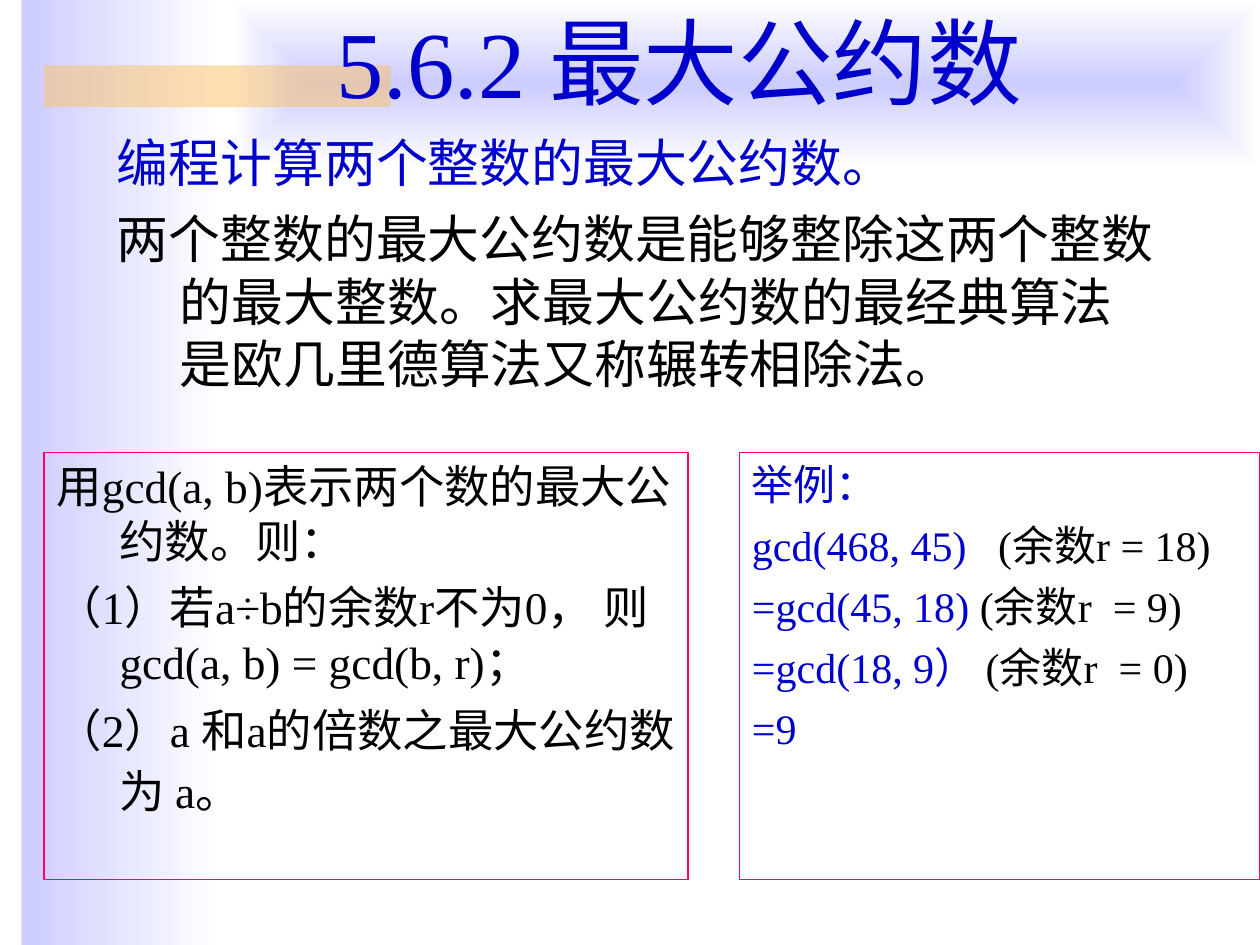
from dataclasses import dataclass
from typing import Optional

from lxml.etree import SubElement
from pptx import Presentation
from pptx.dml.color import RGBColor
from pptx.enum.shapes import MSO_SHAPE as Preset
from pptx.enum.text import MSO_ANCHOR as Anchor, MSO_AUTO_SIZE as AutoSize, PP_ALIGN as Align
from pptx.oxml.ns import qn
from pptx.util import Inches, Pt

FONT = "Times New Roman"
BLUE = "0000CC"
BLACK = "000000"
LAVENDER = "CCCCFF"
WHITE = "FFFFFF"
PINK = "FF0066"
ORANGE = "FAC164"
HANGING = 0.5


@dataclass
class Frame:
    left: float
    top: float
    width: float
    height: float

    def lengths(self) -> tuple:
        return tuple(Inches(v) for v in (self.left, self.top, self.width, self.height))


@dataclass
class Span:
    text: str
    color: Optional[str] = None
    size: Optional[float] = None


@dataclass
class Para:
    spans: list[Span]
    color: str
    size: float
    before: float


@dataclass
class Block:
    frame: Frame
    paras: list[Para]
    border: Optional[str] = None


def rgb(value: str) -> RGBColor:
    return RGBColor.from_string(value)


def add_rect(page, frame: Frame):
    shape = page.shapes.add_shape(Preset.RECTANGLE, *frame.lengths())
    shape.shadow.inherit = False
    shape.line.fill.background()
    return shape


def add_gradient(page, frame: Frame, centered: bool) -> None:
    shape = add_rect(page, frame)
    shape.fill.gradient()
    for stop, color, position in zip(shape.fill.gradient_stops, (LAVENDER, WHITE), (0, 1)):
        stop.color.rgb = rgb(color)
        stop.position = position
    shape.fill.gradient_angle = 0
    if centered:
        gradient = shape.element.spPr.find(qn("a:gradFill"))
        gradient.remove(gradient.find(qn("a:lin")))
        shade = SubElement(gradient, qn("a:path"), {"path": "rect"})
        SubElement(shade, qn("a:fillToRect"), dict.fromkeys("ltrb", "50000"))


def add_bar(page, frame: Frame, color: str, opacity: int) -> None:
    shape = add_rect(page, frame)
    shape.fill.solid()
    shape.fill.fore_color.rgb = rgb(color)
    fill = shape.element.spPr.find(qn("a:solidFill"))
    SubElement(fill[0], qn("a:alpha"), {"val": str(opacity * 1000)})


def style(font, color: str, size: float) -> None:
    font.name = FONT
    font.size = Pt(size)
    font.color.rgb = rgb(color)


def place_title(page, frame: Frame, text: str) -> None:
    title = page.shapes.title
    title.left, title.top, title.width, title.height = frame.lengths()
    page.shapes.element.append(title.element)
    box = title.text_frame
    box.text = text
    box.auto_size = AutoSize.NONE
    box.vertical_anchor = Anchor.MIDDLE
    para = box.paragraphs[0]
    para.alignment = Align.CENTER
    style(para.font, BLUE, 54)


def add_block(page, block: Block) -> None:
    if block.border:
        shape = add_rect(page, block.frame)
        shape.fill.background()
        shape.line.color.rgb = rgb(block.border)
        shape.line.width = Pt(0.75)
    else:
        shape = page.shapes.add_textbox(*block.frame.lengths())
    box = shape.text_frame
    box.word_wrap = True
    box.vertical_anchor = Anchor.TOP
    for index, item in enumerate(block.paras):
        para = box.add_paragraph() if index else box.paragraphs[0]
        para.alignment = Align.LEFT
        para.space_before = Pt(item.before if index else 0)
        properties = para._p.get_or_add_pPr()
        properties.set("marL", str(Inches(HANGING)))
        properties.set("indent", str(-Inches(HANGING)))
        style(para.font, item.color, item.size)
        for part in item.spans:
            span = para.add_run()
            span.text = part.text
            style(span.font, part.color or item.color, part.size or item.size)


def example(call: str, remainder: str = "") -> Para:
    spans = [Span(call)]
    if remainder:
        spans.append(Span(remainder, BLACK))
    return Para(spans, BLUE, 24, 6)


INTRO = Block(Frame(0.83, 0.99, 8.5, 2.44), [
    Para([Span("编程计算两个整数的最大公约数。")], BLUE, 29.6, 8),
    Para([Span("两个整数的最大公约数是能够整除这两个整数的最大整数。"
               "求最大公约数的最经典算法是欧几里德算法又称辗转相除法。")], BLACK, 29.6, 8),
])
RULES = Block(Frame(0.35, 3.59, 5.11, 3.39), [
    Para([Span("用gcd(a, b)表示两个数的最大公约数。则：")], BLACK, 25.9, 7),
    Para([Span("（1）若a÷b的余数r不为0， 则gcd(a, b) = gcd(b, r)；")], BLACK, 25.9, 7),
    Para([Span("（2）a 和a的倍数之最大公约数为 a。"), Span(" ", size=29.6)], BLACK, 25.9, 8),
], PINK)
EXAMPLE = Block(Frame(5.87, 3.59, 4.13, 3.39), [
    example("举例："),
    example("gcd(468, 45)", "   (余数r = 18)"),
    example("=gcd(45, 18)", " (余数r  = 9)"),
    example("=gcd(18, 9） ", "(余数r  = 0)"),
    example("=9"),
], PINK)


def main() -> None:
    deck = Presentation()
    deck.slide_width, deck.slide_height = Inches(10), Inches(7.5)
    page = deck.slides.add_slide(deck.slide_layouts.get_by_name("Title Only"))
    add_gradient(page, Frame(0.17, 0, 1.58, 7.5), centered=False)
    add_gradient(page, Frame(1.83, 0, 8.17, 1.33), centered=True)
    add_bar(page, Frame(0.35, 0.52, 2.75, 0.33), ORANGE, 50)
    place_title(page, Frame(1.14, -0.03, 8.5, 1.02), "5.6.2 最大公约数")
    for block in (INTRO, RULES, EXAMPLE):
        add_block(page, block)
    deck.save("out.pptx")


if __name__ == "__main__":
    main()
